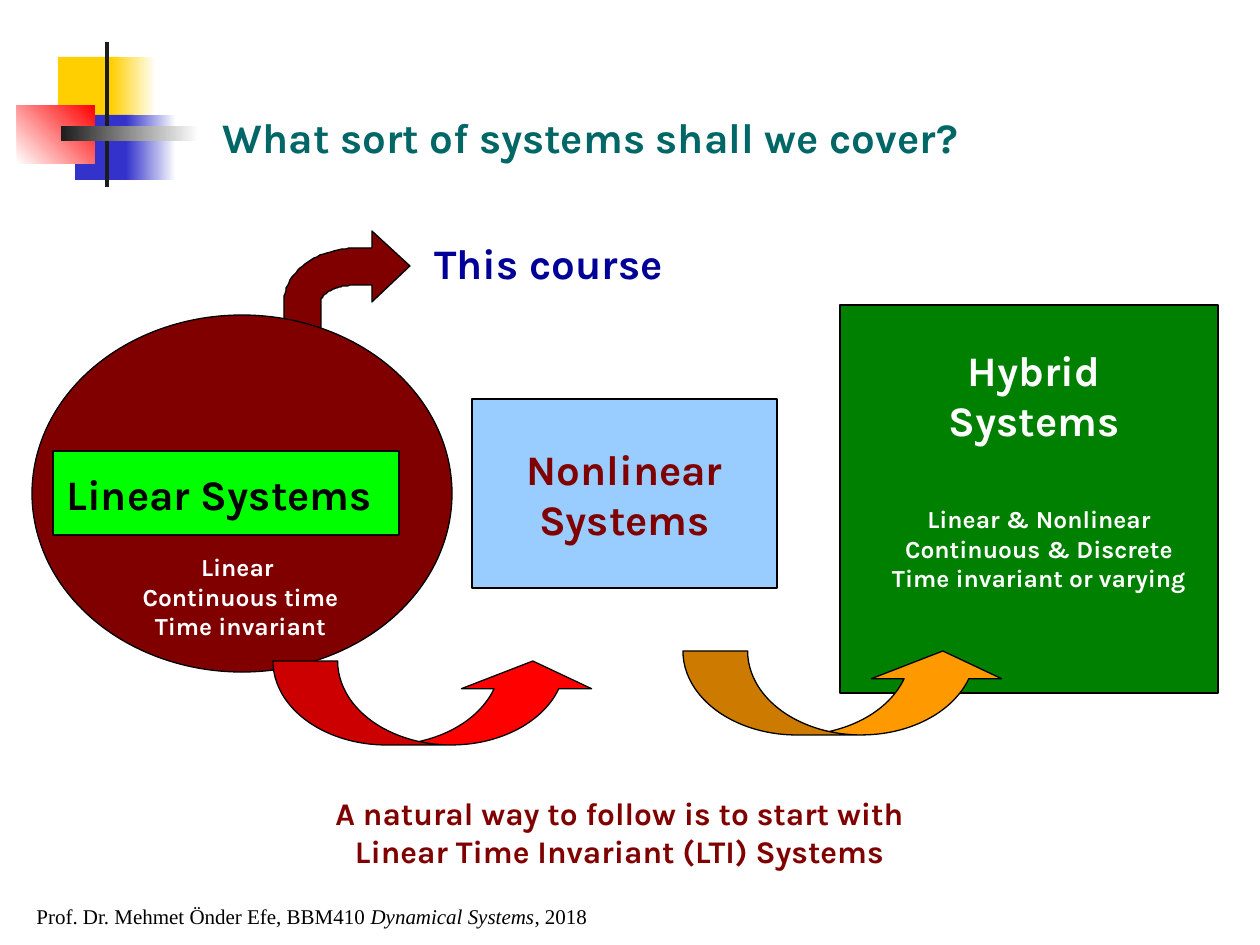
from math import cos, radians, sin

from pptx import Presentation
from pptx.dml.color import RGBColor
from pptx.enum.shapes import MSO_SHAPE
from pptx.enum.text import MSO_ANCHOR, MSO_AUTO_SIZE, PP_ALIGN
from pptx.util import Emu, Pt

RECT, OVAL, SWOOP = MSO_SHAPE.RECTANGLE, MSO_SHAPE.OVAL, MSO_SHAPE.CURVED_UP_ARROW
LEFT, CENTER = PP_ALIGN.LEFT, PP_ALIGN.CENTER
TOP = MSO_ANCHOR.TOP
NO_FIT = MSO_AUTO_SIZE.NONE

BLACK = RGBColor(0x00, 0x00, 0x00)
WHITE = RGBColor(0xFF, 0xFF, 0xFF)
YELLOW = RGBColor(0xFF, 0xCF, 0x01)
BLUE = RGBColor(0x33, 0x33, 0xCC)
RED = RGBColor(0xFF, 0x00, 0x00)
CHARCOAL = RGBColor(0x1C, 0x1C, 0x1C)
MAROON = RGBColor(0x80, 0x00, 0x00)
TEAL = RGBColor(0x00, 0x66, 0x66)
NAVY = RGBColor(0x00, 0x00, 0x99)
LIME = RGBColor(0x00, 0xFF, 0x00)
GREEN = RGBColor(0x00, 0x80, 0x00)
SKY = RGBColor(0x99, 0xCC, 0xFF)
ORANGE = RGBColor(0xFF, 0x99, 0x00)

PX = 914400 // 126
PAGE_SIZE = (1260, 945)

TITLE = ("What sort of systems shall we cover?", (210, 105, 977, 63), 24, TEAL, LEFT, True)

ORNAMENT = [
    ((58, 57, 61, 65), (YELLOW,), 0),
    ((111, 57, 45, 65), (YELLOW, WHITE), 0),
    ((75, 115, 58, 65), (BLUE,), 0),
    ((126, 115, 50, 65), (BLUE, WHITE), 0),
    ((17, 105, 78, 59), (WHITE, RED), 45),
    ((105, 42, 4, 145), (CHARCOAL,), 0),
    ((61, 126, 138, 15), (CHARCOAL, WHITE), 0),
]

SYSTEMS = [
    (OVAL, (32, 315, 420, 357), MAROON),
    (RECT, (53, 451, 346, 84), LIME),
    (RECT, (840, 305, 378, 388), GREEN),
    (RECT, (472, 399, 305, 189), SKY),
]

SWOOPS = [((273, 661, 325, 84), RED), ((683, 651, 325, 84), ORANGE)]
SWOOP_SHAPE = (0.77, 1.55, 0.33)

LABELS = [
    ("Linear Systems", (54, 462, 343, 63), 24, BLACK, LEFT, False),
    ("Nonlinear\vSystems", (507, 437, 235, 113), 24, MAROON, CENTER, False),
    ("Hybrid\vSystems", (935, 338, 198, 113), 24, WHITE, CENTER, False),
    ("Linear & Nonlinear\vContinuous & Discrete\vTime invariant or varying",
     (871, 498, 336, 101), 14, WHITE, CENTER, False),
    ("This course", (422, 231, 261, 63), 24, NAVY, LEFT, False),
    ("Linear \vContinuous time\vTime invariant",
     (126, 546, 229, 101), 14, WHITE, CENTER, False),
    ("A natural way to follow is to start with\vLinear Time Invariant (LTI) Systems",
     (105, 788, 1029, 88), 18, MAROON, CENTER, True),
]

FOOTER_BOX = (24, 897, 577, 38)
FOOTER = [
    ("Prof. Dr. Mehmet Önder Efe, BBM410 ", False),
    ("Dynamical Systems", True),
    (", 2018", False),
]


def to_emu(box):
    return [Emu(value * PX) for value in box]


def apply_format(target, values):
    for name, value in values.items():
        setattr(target, name, value)


def paint(shape, colours, angle=0, outline=True):
    shape.shadow.inherit = False
    if len(colours) == 1:
        shape.fill.solid()
        shape.fill.fore_color.rgb = colours[0]
    else:
        shape.fill.gradient()
        shape.fill.gradient_angle = angle
        for stop, colour, position in zip(shape.fill.gradient_stops, colours, (0, 1)):
            stop.color.rgb = colour
            stop.position = position
    if outline:
        shape.line.color.rgb = BLACK
        shape.line.width = Pt(0.75)
    else:
        shape.line.fill.background()


def add_painted(page, kind, box, colours, angle=0, outline=True):
    shape = page.shapes.add_shape(kind, *to_emu(box))
    paint(shape, colours, angle, outline)
    return shape


def write_label(shape, text, size, colour, align, wrap):
    frame = shape.text_frame
    apply_format(frame, {"word_wrap": wrap, "auto_size": NO_FIT, "vertical_anchor": TOP})
    frame.text = text
    para = frame.paragraphs[0]
    para.alignment = align
    for span in para.runs:
        apply_format(span.font, {"name": "Karla", "size": Pt(size), "bold": True})
        span.font.color.rgb = colour


def arc(center_x, center_y, radius_x, radius_y, start, end, step):
    return [(center_x + radius_x * cos(radians(angle)), center_y - radius_y * sin(radians(angle)))
            for angle in range(start, end + step, step)]


def add_bent_arrow(page):
    outer = arc(357, 302, 73, 54, 90, 180, 3)
    inner = arc(357, 302, 36, 17, 180, 90, -3)
    points = [(410, 266), (372, 231), (372, 248), *outer, (284, 357), (321, 357),
              *inner, (372, 285), (372, 302)]
    builder = page.shapes.build_freeform(*points[0], scale=PX)
    builder.add_line_segments(points[1:], close=True)
    paint(builder.convert_to_shape(), (MAROON,))


def add_footer(page):
    frame = page.shapes.add_textbox(*to_emu(FOOTER_BOX)).text_frame
    frame.word_wrap = False
    for text, italic in FOOTER:
        span = frame.paragraphs[0].add_run()
        span.text = text
        apply_format(span.font, {"name": "Times New Roman", "size": Pt(12), "italic": italic})
        span.font.color.rgb = BLACK


def main():
    deck = Presentation()
    deck.slide_width, deck.slide_height = to_emu(PAGE_SIZE)
    page = deck.slides.add_slide(deck.slide_layouts[5])

    text, box, *style = TITLE
    title = page.shapes.title
    apply_format(title, dict(zip(("left", "top", "width", "height"), to_emu(box))))
    write_label(title, text, *style)

    for box, colours, angle in ORNAMENT:
        add_painted(page, RECT, box, colours, angle, outline=False)
    add_footer(page)
    add_bent_arrow(page)
    for kind, box, colour in SYSTEMS:
        add_painted(page, kind, box, (colour,))
    for box, colour in SWOOPS:
        arrow = add_painted(page, SWOOP, box, (colour,))
        for index, value in enumerate(SWOOP_SHAPE):
            arrow.adjustments[index] = value
    for text, box, *style in LABELS:
        write_label(page.shapes.add_textbox(*to_emu(box)), text, *style)

    deck.save("out.pptx")


if __name__ == "__main__":
    main()
